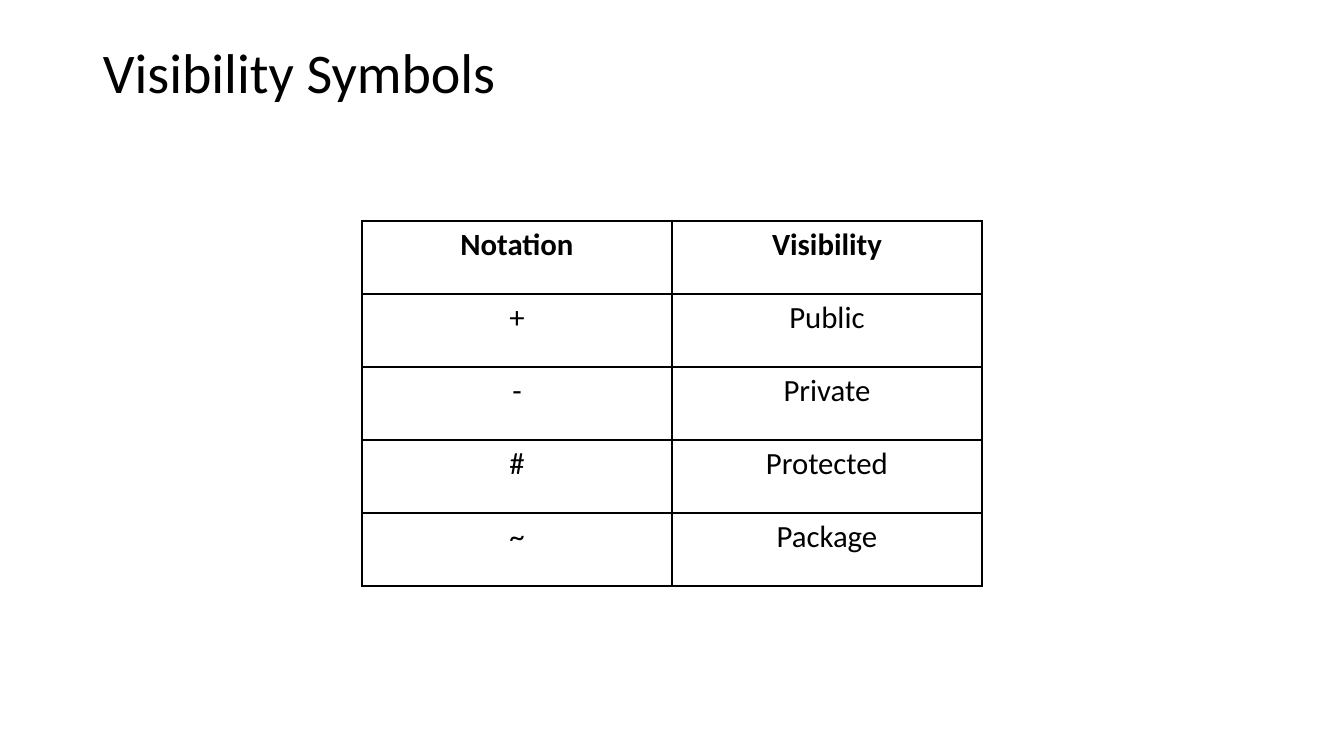
from dataclasses import dataclass

from lxml import etree
from pptx import Presentation
from pptx.dml.color import RGBColor
from pptx.enum.text import MSO_ANCHOR, PP_ALIGN
from pptx.oxml.ns import qn
from pptx.util import Emu, Pt

CENTER = PP_ALIGN.CENTER
LEFT = PP_ALIGN.LEFT
TOP = MSO_ANCHOR.TOP
MIDDLE = MSO_ANCHOR.MIDDLE

WIDTH, HEIGHT = 1344, 756
SCALE = 12192000 / WIDTH


def px(count):
    return Emu(round(count * SCALE))


@dataclass(frozen=True)
class Theme:
    font: str = "Calibri"
    ink: str = "000000"
    paper: str = "FFFFFF"
    title: int = 40
    body: int = 22
    rule: int = 1


class Deck:
    def __init__(self, theme):
        self.theme = theme
        self.prs = Presentation()
        self.prs.slide_width, self.prs.slide_height = px(WIDTH), px(HEIGHT)
        self.slide = self.prs.slides.add_slide(self.prs.slide_layouts[6])
        fill = self.slide.background.fill
        fill.solid()
        fill.fore_color.rgb = RGBColor.from_string(theme.paper)

    def label(self, frame, text, size, align=LEFT, bold=False):
        para = frame.paragraphs[0]
        para.alignment = align
        run = para.add_run()
        run.text = text
        run.font.name = self.theme.font
        run.font.size = Pt(size)
        run.font.bold = bold
        run.font.color.rgb = RGBColor.from_string(self.theme.ink)
        return para

    def title(self, text, *area):
        box = self.slide.shapes.add_textbox(*map(px, area))
        frame = box.text_frame
        frame.word_wrap = True
        frame.vertical_anchor = MIDDLE
        self.label(frame, text, self.theme.title).line_spacing = 0.9

    def border(self, cell):
        props = cell._tc.get_or_add_tcPr()
        for place, side in enumerate(("lnL", "lnR", "lnT", "lnB")):
            line = etree.Element(qn(f"a:{side}"), w=str(Pt(self.theme.rule)))
            fill = etree.SubElement(line, qn("a:solidFill"))
            etree.SubElement(fill, qn("a:srgbClr"), val=self.theme.ink)
            props.insert(place, line)

    def table(self, rows, left, top, wide, high):
        count = len(rows[0])
        area = (left, top, wide * count, high * len(rows))
        table = self.slide.shapes.add_table(
            len(rows), count, *map(px, area)).table
        table.horz_banding = False
        for col in table.columns:
            col.width = px(wide)
        for r, row in enumerate(rows):
            table.rows[r].height = px(high)
            for c, text in enumerate(row):
                cell = table.cell(r, c)
                cell.vertical_anchor = TOP
                cell.fill.solid()
                cell.fill.fore_color.rgb = RGBColor.from_string(
                    self.theme.paper)
                self.border(cell)
                self.label(cell.text_frame, text, self.theme.body,
                           CENTER, bold=r == 0)


def main():
    deck = Deck(Theme())

    # Heading
    deck.title("Visibility Symbols", 93, 2, 1159, 146)

    # Notation table
    rows = [
        ("Notation", "Visibility"),
        ("+", "Public"),
        ("-", "Private"),
        ("#", "Protected"),
        ("~", "Package"),
    ]
    deck.table(rows, left=362, top=221, wide=310, high=73)

    deck.prs.save("out.pptx")


if __name__ == "__main__":
    main()
